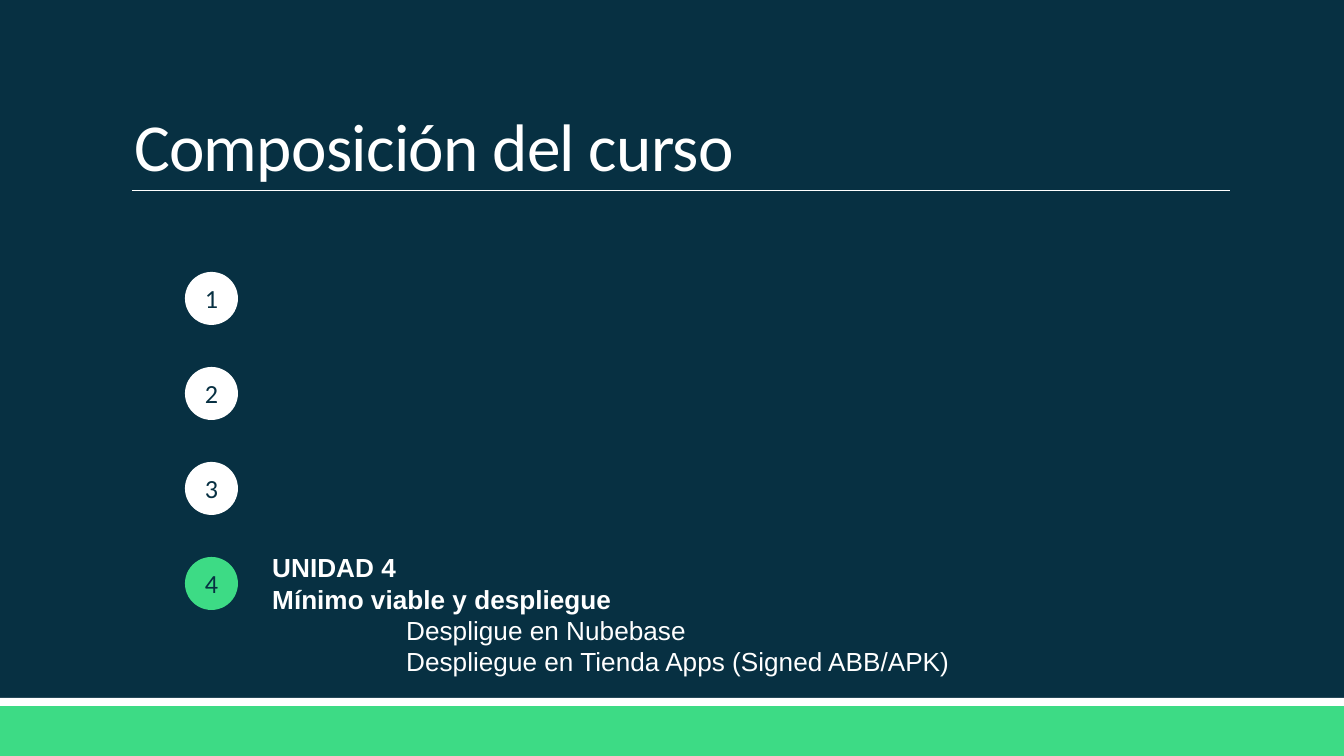
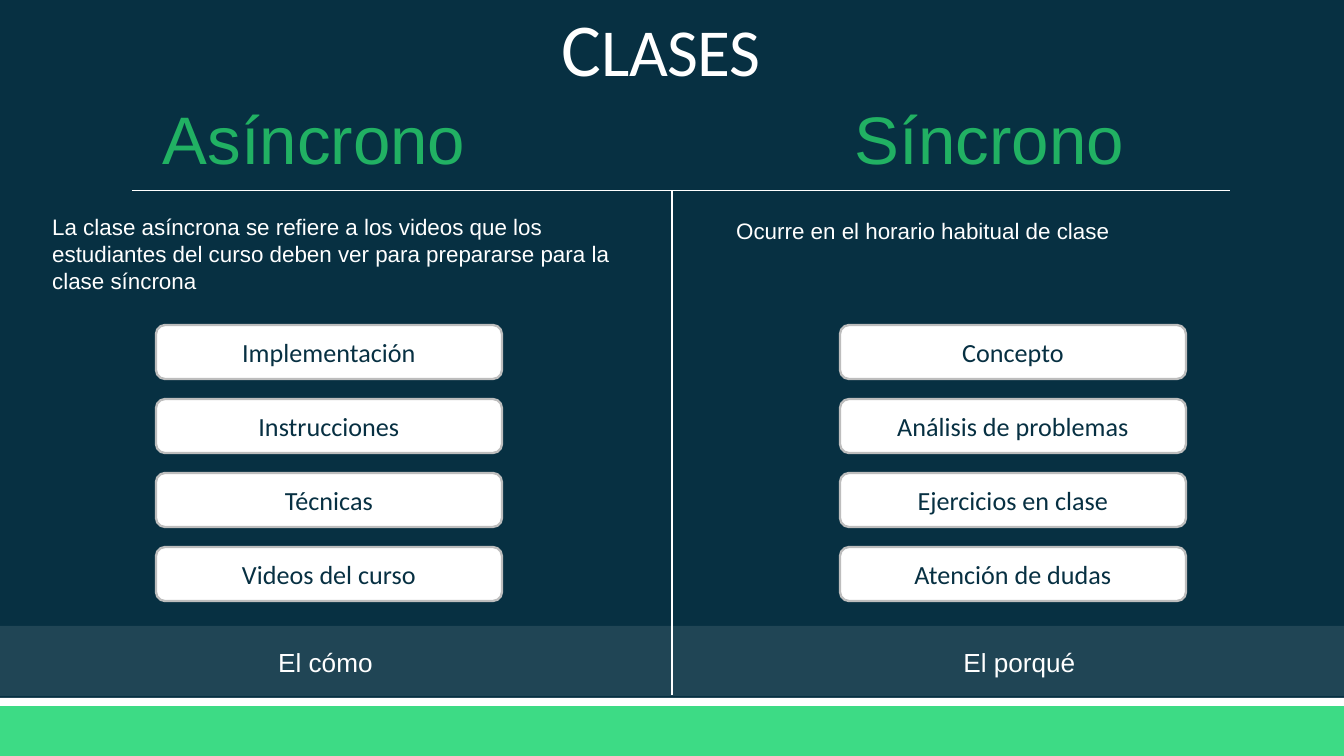
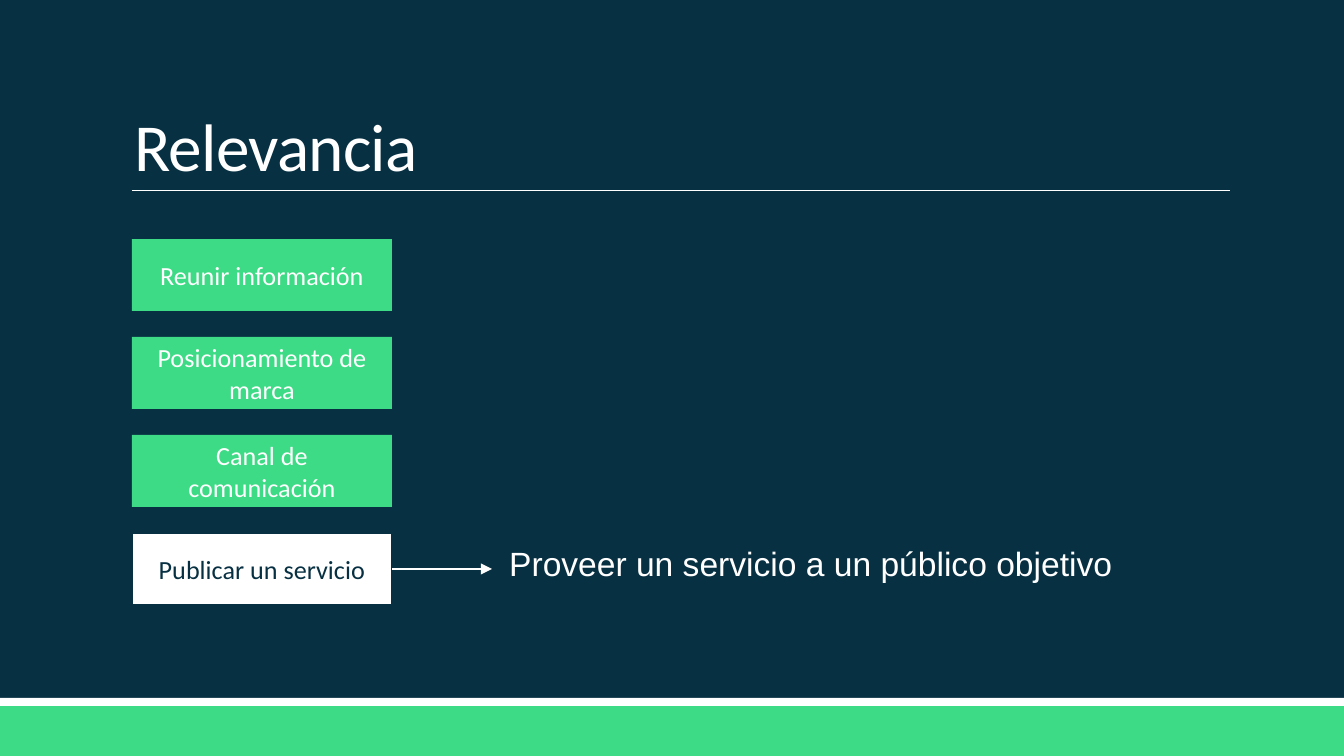
from dataclasses import dataclass

from lxml.etree import SubElement
from pptx import Presentation
from pptx.dml.color import RGBColor
from pptx.enum.shapes import MSO_CONNECTOR, MSO_SHAPE
from pptx.enum.text import MSO_ANCHOR, PP_ALIGN
from pptx.oxml.ns import qn
from pptx.util import Pt

EMU_PER_PX = 9144000 / 1344
WIDTH, HEIGHT = 1344, 756


@dataclass(frozen=True)
class Theme:
    navy: str = "073042"
    green: str = "3DDB85"
    deep_green: str = "21B163"
    white: str = "FFFFFF"
    grey: str = "BDBDBD"
    body_font: str = "Arial"
    label_font: str = "Calibri"
    initial: int = 40
    title: int = 36
    caption: int = 18
    body: int = 14
    small: int = 12


@dataclass(frozen=True)
class Box:
    x: int
    y: int
    w: int
    h: int


@dataclass(frozen=True)
class Column:
    heading: str
    heading_box: Box
    summary: str
    summary_box: Box
    button_x: int
    buttons: tuple[str, ...]
    focus: str
    focus_box: Box


THEME = Theme()
RULE_Y = 191
RULE_LEFT, RULE_RIGHT = 132, 1230
TITLE_BOX = Box(121, 32, 1109, 160)

COLUMNS = (
    Column(
        "Asíncrono", Box(132, 91, 364, 95),
        "La clase asíncrona se refiere a los videos que los estudiantes del curso "
        "deben ver para prepararse para la clase síncrona",
        Box(39, 207, 594, 95), 156,
        ("Implementación", "Instrucciones", "Técnicas", "Videos del curso"),
        "El cómo", Box(163, 640, 325, 46),
    ),
    Column(
        "Síncrono", Box(767, 91, 445, 95),
        "Ocurre en el horario habitual de clase",
        Box(723, 211, 594, 40), 840,
        ("Concepto", "Análisis de problemas", "Ejercicios en clase", "Atención de dudas"),
        "El porqué", Box(857, 640, 325, 46),
    ),
)


def px(value: int) -> int:
    return round(value * EMU_PER_PX)


def frame(box: Box) -> tuple[int, int, int, int]:
    return px(box.x), px(box.y), px(box.w), px(box.h)


def rgb(color: str) -> RGBColor:
    return RGBColor.from_string(color)


def add_run(p, text: str, *, size: int = THEME.body, font: str = THEME.body_font,
            color: str = THEME.white, bold: bool = False, tracking: int = 0):
    r = p.add_run()
    r.text = text
    r.font.size = Pt(size)
    r.font.name = font
    r.font.bold = bold
    r.font.color.rgb = rgb(color)
    if tracking:
        r.font._element.set("spc", str(tracking))
    return r


def write(tf, text: str, *, align=PP_ALIGN.LEFT, indent: int = 0,
          spacing: float | None = None, **style):
    p = tf.paragraphs[0]
    if p.runs:
        p = tf.add_paragraph()
    p.alignment = align
    if spacing:
        p.line_spacing = spacing
    if indent:
        p._p.get_or_add_pPr().set("marL", str(px(indent)))
    add_run(p, text, **style)
    return p


def add_textbox(slide, box: Box, anchor=MSO_ANCHOR.TOP):
    tf = slide.shapes.add_textbox(*frame(box)).text_frame
    tf.word_wrap = True
    tf.vertical_anchor = anchor
    return tf


def add_block(slide, box: Box, fill: str, *, kind=MSO_SHAPE.RECTANGLE, text: str = "",
              color: str = THEME.navy, line: str = "", wrap: bool = True, alpha: int = 100):
    sp = slide.shapes.add_shape(kind, *frame(box))
    sp.shadow.inherit = False
    sp.fill.solid()
    sp.fill.fore_color.rgb = rgb(fill)
    if alpha < 100:
        fill_color = sp._element.spPr.find(qn("a:solidFill"))[0]
        SubElement(fill_color, qn("a:alpha")).set("val", str(alpha * 1000))
    if line:
        sp.line.color.rgb = rgb(line)
        sp.line.width = Pt(1.25)
    else:
        sp.line.fill.background()
    if text:
        tf = sp.text_frame
        tf.word_wrap = wrap
        tf.vertical_anchor = MSO_ANCHOR.MIDDLE
        write(tf, text, align=PP_ALIGN.CENTER, font=THEME.label_font, color=color)
    return sp


def add_line(slide, x1: int, y1: int, x2: int, y2: int, *, width: float = 1,
             arrow: bool = False):
    cxn = slide.shapes.add_connector(MSO_CONNECTOR.STRAIGHT, px(x1), px(y1), px(x2), px(y2))
    cxn.line.color.rgb = rgb(THEME.white)
    cxn.line.width = Pt(width)
    if arrow:
        SubElement(cxn.line._get_or_add_ln(), qn("a:tailEnd")).set("type", "triangle")
    SubElement(cxn._element.spPr, qn("a:effectLst"))
    return cxn


def add_title(slide, text: str, box: Box = TITLE_BOX, **style):
    tf = add_textbox(slide, box, MSO_ANCHOR.BOTTOM)
    style = {"size": THEME.title, **style}
    return write(tf, text, spacing=0.85, font=THEME.label_font, tracking=-40, **style)


def new_slide(prs):
    slide = prs.slides.add_slide(prs.slide_layouts[6])
    slide.background.fill.solid()
    slide.background.fill.fore_color.rgb = rgb(THEME.navy)
    add_block(slide, Box(0, 706, WIDTH, HEIGHT - 706), THEME.green)
    add_block(slide, Box(0, 698, WIDTH, 8), THEME.white)
    add_line(slide, RULE_LEFT, RULE_Y, RULE_RIGHT, RULE_Y, width=0.5)
    return slide


def build_course(prs) -> None:
    slide = new_slide(prs)
    add_title(slide, "Composición del curso")
    current = 4
    for unit in range(1, 5):
        fill = THEME.green if unit == current else THEME.white
        add_block(slide, Box(185, 272 + 95 * (unit - 1), 53, 53), fill,
                  kind=MSO_SHAPE.OVAL, text=str(unit), wrap=False)
    tf = add_textbox(slide, Box(259, 545, 784, 142))
    for heading in ("UNIDAD 4", "Mínimo viable y despliegue"):
        write(tf, heading, bold=True)
    for topic in ("Despligue en Nubebase", "Despliegue en Tienda Apps (Signed ABB/APK)"):
        write(tf, topic, indent=134)


def build_classes(prs) -> None:
    slide = new_slide(prs)
    add_block(slide, Box(0, 626, WIDTH, 70), THEME.white, alpha=10)
    p = add_title(slide, "C", Box(46, 8, 1230, 90), size=THEME.initial, align=PP_ALIGN.CENTER)
    add_run(p, "LASES", size=THEME.title, font=THEME.label_font, tracking=-40)
    for column in COLUMNS:
        write(add_textbox(slide, column.heading_box), column.heading,
              align=PP_ALIGN.CENTER, size=THEME.title, color=THEME.deep_green)
        write(add_textbox(slide, column.summary_box), column.summary, size=THEME.small)
        for row, label in enumerate(column.buttons):
            add_block(slide, Box(column.button_x, 325 + 74 * row, 346, 54), THEME.white,
                      kind=MSO_SHAPE.ROUNDED_RECTANGLE, text=label, line=THEME.grey)
        write(add_textbox(slide, column.focus_box), column.focus, align=PP_ALIGN.CENTER)
    add_line(slide, WIDTH // 2, RULE_Y, WIDTH // 2, 695)


def build_relevance(prs) -> None:
    slide = new_slide(prs)
    add_title(slide, "Relevancia")
    reasons = ("Reunir información", "Posicionamiento de marca", "Canal de comunicación")
    top, pitch, height = 239, 98, 72
    for row, reason in enumerate(reasons):
        add_block(slide, Box(RULE_LEFT, top + pitch * row, 260, height), THEME.green,
                  text=reason, color=THEME.white)
    service_y = top + pitch * len(reasons)
    service = add_block(slide, Box(RULE_LEFT, service_y, 260, height), THEME.white,
                        text="Publicar un servicio", line=THEME.navy)
    middle = service_y + height // 2
    arrow = add_line(slide, RULE_LEFT + 260, middle, 492, middle, arrow=True)
    arrow.begin_connect(service, 3)
    write(add_textbox(slide, Box(496, 536, 759, 54)),
          "Proveer un servicio a un público objetivo", size=THEME.caption)


def main() -> None:
    prs = Presentation()
    prs.slide_width, prs.slide_height = px(WIDTH), px(HEIGHT)
    for build in (build_course, build_classes, build_relevance):
        build(prs)
    prs.save("out.pptx")


if __name__ == "__main__":
    main()
